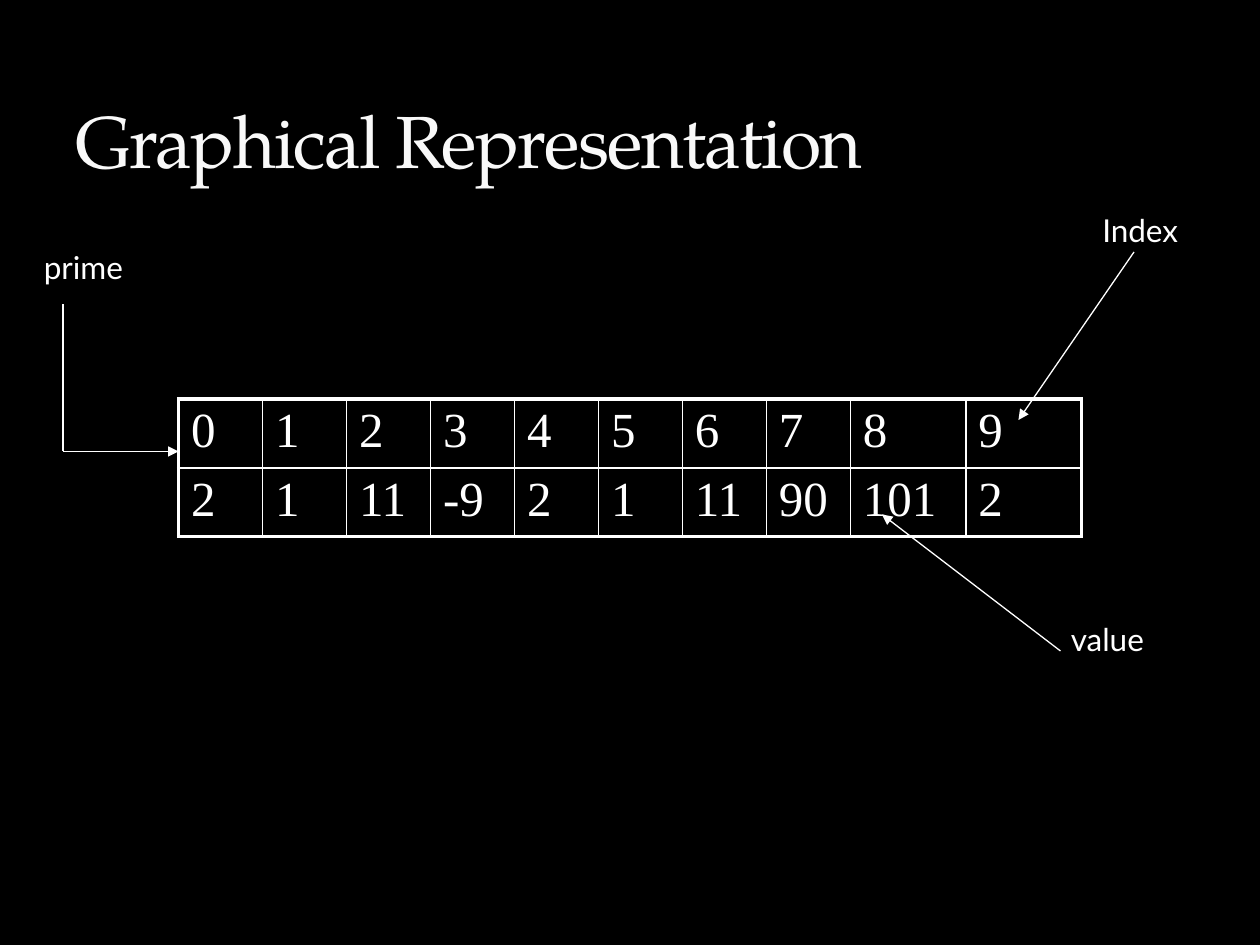
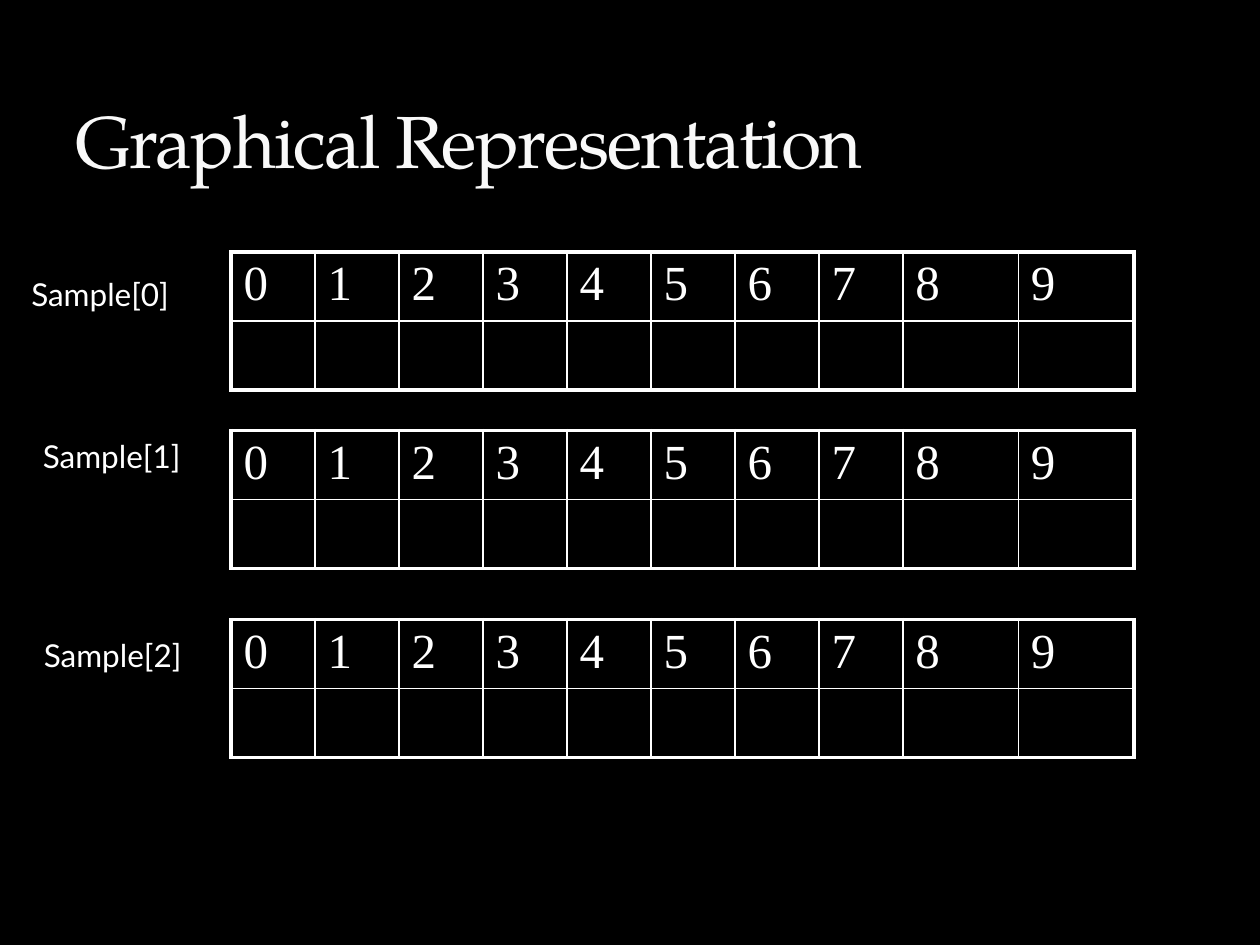
"""Build two slides that picture arrays as index and value tables."""
from dataclasses import dataclass

from lxml.etree import SubElement
from pptx import Presentation
from pptx.dml.color import RGBColor
from pptx.enum.shapes import MSO_CONNECTOR
from pptx.enum.text import MSO_ANCHOR
from pptx.oxml.ns import qn
from pptx.slide import Slide
from pptx.util import Inches, Length, Pt

COLORS = {"back": "000000", "ink": "FFFFFF", "title": "F9F9F9", "edge": "3C4422"}
FONTS = {"title": "TeX Gyre Pagella", "label": "Lato", "cell": "Times New Roman"}
THICK, THIN = 2.25, 1
COLS = [8] * 8 + [11] * 2
ROW = 6.4
INDEX = [str(i) for i in range(len(COLS))]
BLANK = [""] * len(COLS)
VALUES = ["2", "1", "11", "-9", "2", "1", "11", "90", "101", "2"]


@dataclass
class Label:
    text: str
    left: float
    top: float
    width: float


@dataclass
class Line:
    start: tuple[float, float]
    end: tuple[float, float]
    arrow: bool = True


@dataclass
class Grid:
    left: float
    top: float
    values: list[str]


def unit(count: float) -> Length:
    """Turn grid units, twelve to the inch, into a length."""
    return Inches(count / 12)


def style(font, face: str, size: float, color: str) -> None:
    """Set face, size and colour of a font."""
    font.name, font.size = FONTS[face], Pt(size)
    font.color.rgb = RGBColor.from_string(COLORS[color])


def add_title(slide: Slide, text: str) -> None:
    """Add the outlined title at the top of a slide."""
    box = slide.shapes.add_textbox(unit(6), unit(2), unit(108), unit(16))
    frame = box.text_frame
    frame.word_wrap, frame.vertical_anchor = True, MSO_ANCHOR.BOTTOM
    run = frame.paragraphs[0].add_run()
    run.text = text
    style(run.font, "title", 42, "title")
    props = run.font._element
    props.set("spc", "-100")
    edge = props.makeelement(qn("a:ln"), {"w": str(Pt(0.25))})
    fill = SubElement(edge, qn("a:solidFill"))
    color = SubElement(fill, qn("a:srgbClr"), val=COLORS["edge"])
    SubElement(color, qn("a:alpha"), val="25000")
    props.insert(0, edge)


def add_label(slide: Slide, label: Label) -> None:
    """Add a short caption."""
    box = slide.shapes.add_textbox(
        unit(label.left), unit(label.top), unit(label.width), unit(6))
    box.text_frame.word_wrap = True
    para = box.text_frame.paragraphs[0]
    para.text = label.text
    style(para.font, "label", 18, "ink")


def add_line(slide: Slide, line: Line) -> None:
    """Add a thin line, with an arrowhead at its end if asked."""
    ends = [unit(n) for n in (*line.start, *line.end)]
    shape = slide.shapes.add_connector(MSO_CONNECTOR.STRAIGHT, *ends)
    shape.line.width = Pt(0.75)
    shape.line.color.rgb = RGBColor.from_string(COLORS["ink"])
    if line.arrow:
        SubElement(shape.line._get_or_add_ln(), qn("a:tailEnd"), type="triangle")
    SubElement(shape._element.spPr, qn("a:effectLst"))


def add_edges(cell, sides: dict[str, bool]) -> None:
    """Draw cell borders, thick on the outer sides."""
    props = cell._tc.get_or_add_tcPr()
    for side, outer in sides.items():
        width = Pt(THICK if outer else THIN)
        edge = SubElement(props, qn(f"a:ln{side}"), w=str(width))
        fill = SubElement(edge, qn("a:solidFill"))
        SubElement(fill, qn("a:srgbClr"), val=COLORS["ink"])


def add_grid(slide: Slide, grid: Grid) -> None:
    """Add a table with indexes above values."""
    rows = [INDEX, grid.values]
    table = slide.shapes.add_table(
        len(rows), len(COLS), unit(grid.left), unit(grid.top),
        unit(sum(COLS)), unit(ROW * len(rows))).table
    table.first_row = table.horz_banding = False
    for col, width in zip(table.columns, COLS):
        col.width = unit(width)
    for r, row in enumerate(rows):
        table.rows[r].height = unit(ROW)
        for c, text in enumerate(row):
            cell = table.cell(r, c)
            cell.margin_top = cell.margin_bottom = Inches(0.04)
            para = cell.text_frame.paragraphs[0]
            if text:
                para.text = text
            style(para.font, "cell", 28, "ink")
            add_edges(cell, {"L": c == 0, "R": c == len(COLS) - 1,
                             "T": r == 0, "B": r == len(rows) - 1})
            cell.fill.background()


def add_slide(deck, grids: list[Grid], labels: list[Label],
              lines: list[Line]) -> None:
    """Add a black slide with its title, tables, captions and lines."""
    slide = deck.slides.add_slide(deck.slide_layouts[6])
    slide.background.fill.solid()
    slide.background.fill.fore_color.rgb = RGBColor.from_string(COLORS["back"])
    add_title(slide, "Graphical Representation")
    for grid in grids:
        add_grid(slide, grid)
    for label in labels:
        add_label(slide, label)
    for line in lines:
        add_line(slide, line)


def main() -> None:
    """Build and save the deck."""
    deck = Presentation()
    deck.slide_width, deck.slide_height = unit(120), unit(90)
    add_slide(
        deck,
        [Grid(17, 38, VALUES)],
        [Label("prime", 3, 23, 11.8), Label("Index", 103.8, 19.5, 11.5),
         Label("value", 100.8, 58.5, 11)],
        [Line((6, 29), (6, 43), arrow=False), Line((6, 43), (17, 43)),
         Line((108, 24), (97, 40)), Line((101, 62), (84, 49))])
    spots = [(1.8, 25.6), (2.9, 41), (3, 60)]
    add_slide(
        deck,
        [Grid(22, top, BLANK) for top in (24, 41, 59)],
        [Label(f"Sample[{i}]", *spot, 19) for i, spot in enumerate(spots)],
        [])
    deck.save("out.pptx")


if __name__ == "__main__":
    main()
